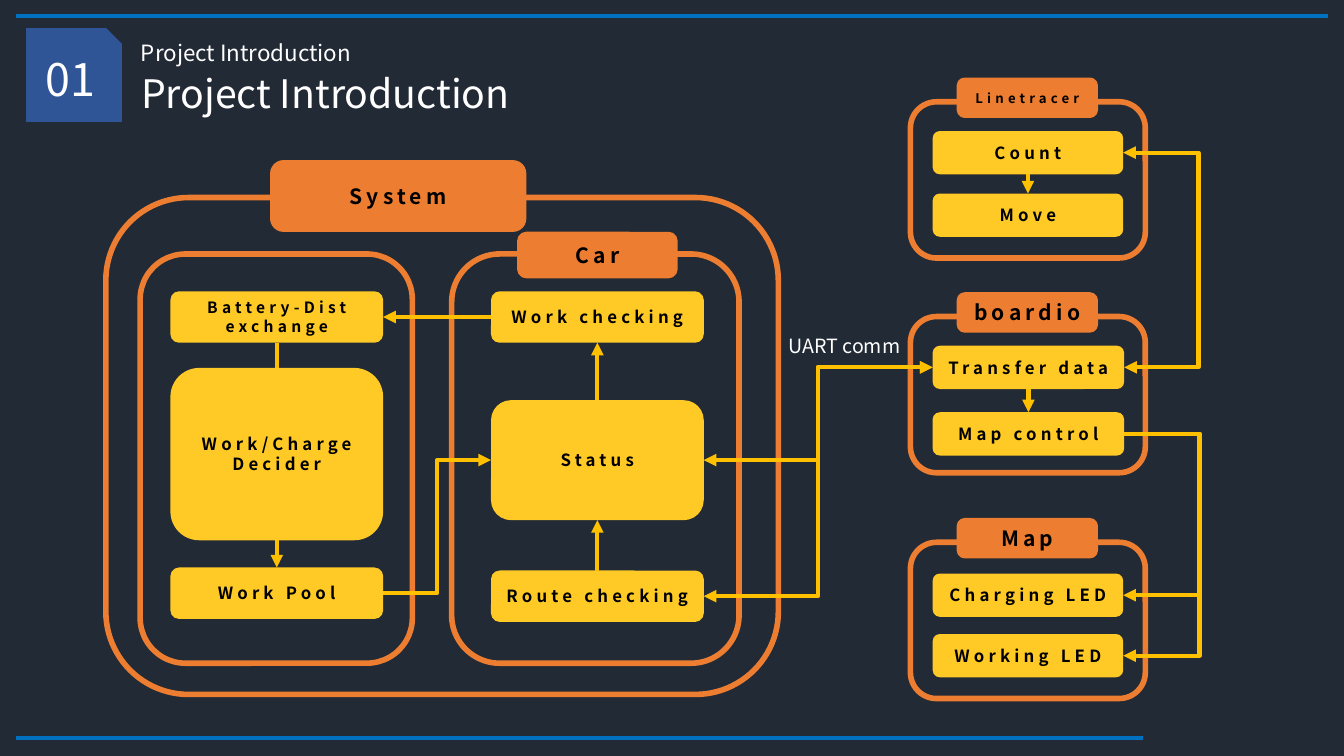
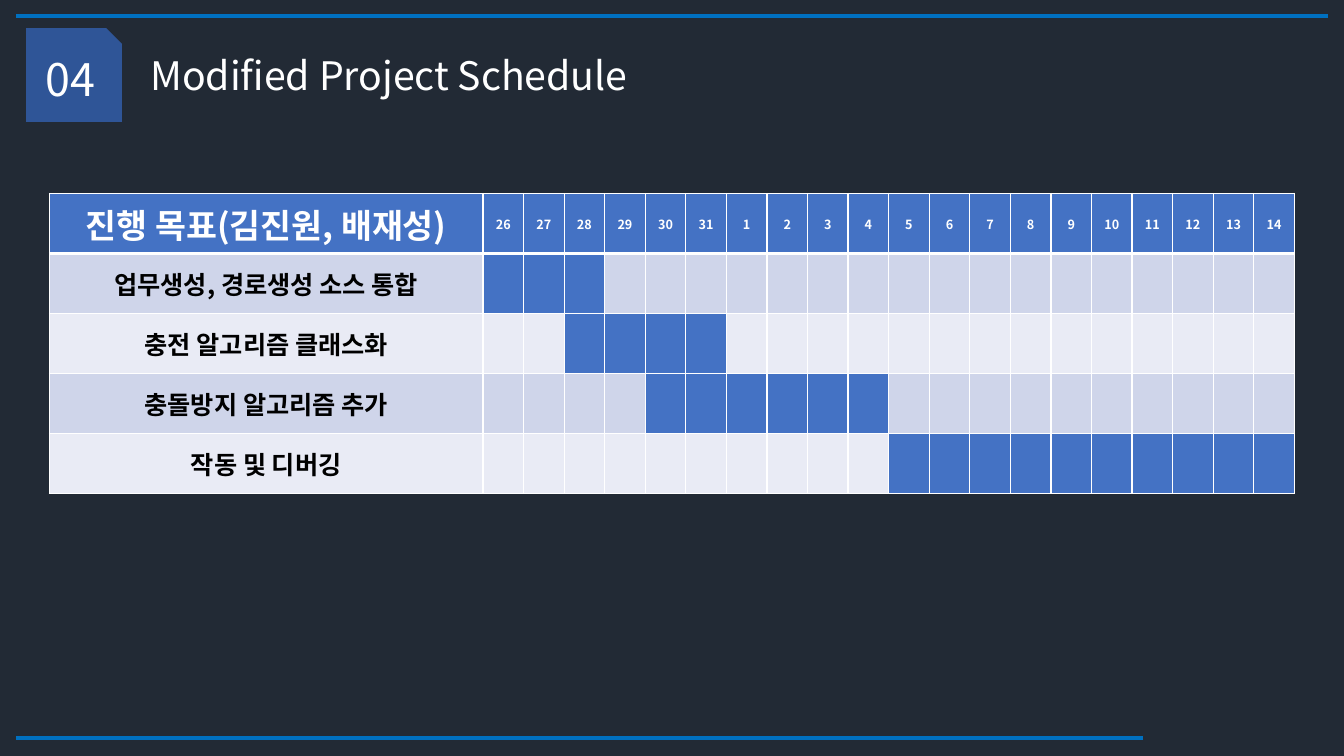
import pptx
import pptx.util
import pptx.dml.color
import pptx.enum.shapes
import pptx.enum.text
import pptx.oxml.ns
import lxml.etree

Inches = pptx.util.Inches
Pt = pptx.util.Pt
RGBColor = pptx.dml.color.RGBColor
SHAPE = pptx.enum.shapes.MSO_SHAPE
CONNECTOR = pptx.enum.shapes.MSO_CONNECTOR
ANCHOR = pptx.enum.text.MSO_ANCHOR
ALIGN = pptx.enum.text.PP_ALIGN
qn = pptx.oxml.ns.qn

FONT = "Noto Sans CJK KR"
NAVY = RGBColor(0x22, 0x2A, 0x35)
BADGE_BLUE = RGBColor(0x2F, 0x55, 0x97)
RULE_BLUE = RGBColor(0x00, 0x70, 0xC0)
ORANGE = RGBColor(0xED, 0x7D, 0x31)
YELLOW = RGBColor(0xFF, 0xC9, 0x26)
ARROW_GOLD = RGBColor(0xFF, 0xC0, 0x00)
BAR_BLUE = RGBColor(0x44, 0x72, 0xC4)
BAND_DARK = RGBColor(0xCF, 0xD5, 0xEA)
BAND_LIGHT = RGBColor(0xE9, 0xEB, 0xF5)
WHITE = RGBColor(0xFF, 0xFF, 0xFF)
BLACK = RGBColor(0x00, 0x00, 0x00)

TOP, LEFT, BOTTOM, RIGHT = range(4)


# Text and shapes
def write(frame, text, size, color=WHITE, bold=False, align=ALIGN.CENTER,
          tracking=0):
    frame.text = text
    frame.word_wrap = True
    frame.vertical_anchor = ANCHOR.MIDDLE
    for paragraph in frame.paragraphs:
        paragraph.alignment = align
        paragraph.line_spacing = 1.0
        font = paragraph.font
        font.name, font.size, font.bold = FONT, Pt(size), bold
        font.color.rgb = color
        props = paragraph._p.pPr.find(qn("a:defRPr"))
        latin = props.find(qn("a:latin"))
        east_asian = lxml.etree.Element(qn("a:ea"), typeface=FONT)
        latin.addnext(east_asian)
        if tracking:
            props.set("spc", str(tracking * 100))


def add_label(slide, box, text, size, align=ALIGN.LEFT):
    label = slide.shapes.add_textbox(*map(Inches, box))
    write(label.text_frame, text, size, align=align)


def add_box(slide, kind, box, fill=None, line=None, width=3):
    shape = slide.shapes.add_shape(kind, *map(Inches, box))
    shape.shadow.inherit = False
    if fill is None:
        shape.fill.background()
    else:
        shape.fill.solid()
        shape.fill.fore_color.rgb = fill
    if line is None:
        shape.line.fill.background()
    else:
        shape.line.color.rgb = line
        shape.line.width = Pt(width)
    return shape


def add_frame(slide, box):
    add_box(slide, SHAPE.ROUNDED_RECTANGLE, box, line=ORANGE, width=4)


def add_header(slide, box, text, size=15):
    header = add_box(slide, SHAPE.ROUNDED_RECTANGLE, box, ORANGE, ORANGE)
    frame = header.text_frame
    frame.margin_left = frame.margin_right = 0
    write(frame, text, size, BLACK, True, tracking=3)


def add_step(slide, box, text, size=12):
    step = add_box(slide, SHAPE.ROUNDED_RECTANGLE, box, YELLOW)
    write(step.text_frame, text, size, BLACK, True, tracking=3)
    return step


# Lines and arrows
def add_line(slide, kind, ends, color):
    line = slide.shapes.add_connector(kind, *ends)
    line.line.color.rgb = color
    line.line.width = Pt(3)
    lxml.etree.SubElement(line._element.spPr, qn("a:effectLst"))
    return line


def site(shape, side):
    x = {LEFT: 0, RIGHT: shape.width}.get(side, shape.width // 2)
    y = {TOP: 0, BOTTOM: shape.height}.get(side, shape.height // 2)
    return shape.left + x, shape.top + y


def add_arrow(slide, start, start_side, end, end_side, both=False,
              elbow=False, turn_x=None):
    """Joins two steps; turn_x is where an elbow runs upright."""
    x1, y1 = site(start, start_side)
    x2, y2 = site(end, end_side)
    kind = CONNECTOR.ELBOW if elbow else CONNECTOR.STRAIGHT
    arrow = add_line(slide, kind, (x1, y1, x2, y2), ARROW_GOLD)
    arrow.begin_connect(start, start_side)
    arrow.end_connect(end, end_side)
    outline = arrow.line._get_or_add_ln()
    for tag in ["a:headEnd", "a:tailEnd"] if both else ["a:tailEnd"]:
        lxml.etree.SubElement(outline, qn(tag), type="triangle")
    if turn_x is not None:
        ratio = (Inches(turn_x) - x1) / (x2 - x1)
        guides = arrow._element.spPr.find(qn("a:prstGeom")).find(qn("a:avLst"))
        lxml.etree.SubElement(guides, qn("a:gd"), name="adj1",
                              fmla=f"val {round(ratio * 100000)}")


# Parts shared by all slides
def add_slide(prs, number, title, title_box):
    slide = prs.slides.add_slide(prs.slide_layouts[5])
    badge = add_box(slide, SHAPE.SNIP_1_RECTANGLE, (0.26, 0.28, 0.95, 0.93),
                    BADGE_BLUE)
    write(badge.text_frame, number, 32)
    for right, y in ((13.17, 0.16), (11.34, 7.32)):
        ends = map(Inches, (0.16, y, right, y))
        add_line(slide, CONNECTOR.STRAIGHT, ends, RULE_BLUE)
    heading = slide.shapes.title
    heading.left, heading.top, heading.width, heading.height = map(
        Inches, title_box)
    write(heading.text_frame, title, 28, align=ALIGN.LEFT)
    heading.text_frame.auto_size = pptx.enum.text.MSO_AUTO_SIZE.NONE
    return slide


# Project diagram
def add_device(slide, left, top, name, steps, name_size=15, step_width=1.89):
    """Frame with a header and steps, each given as (text, offset)."""
    add_frame(slide, (left, top, 2.33, 1.55))
    placed = [add_step(slide, (left + 0.22, top + offset, step_width, 0.43),
                       text) for text, offset in steps]
    add_header(slide, (left + 0.48, top - 0.22, 1.36, 0.36), name, name_size)
    return placed


def add_work_column(slide, left, top):
    add_frame(slide, (left, top, 2.7, 4.06))
    x = left + 0.3
    battery = add_step(slide, (x, top + 0.37, 2.11, 0.51),
                       "Battery-Dist\nexchange", 11.1)
    pool = add_step(slide, (x, top + 3.11, 2.11, 0.51), "Work Pool")
    # The decider covers the middle of this arrow
    add_arrow(slide, battery, BOTTOM, pool, TOP)
    add_step(slide, (x, top + 1.13, 2.11, 1.71), "Work/Charge\nDecider")
    return battery, pool


def add_car_column(slide, left, top):
    add_frame(slide, (left, top, 2.85, 4.06))
    add_header(slide, (left + 0.67, top - 0.2, 1.55, 0.42), "Car")
    checking, status, route = [
        add_step(slide, (left + 0.39, top + offset, 2.11, height), text)
        for text, offset, height in (("Work checking", 0.37, 0.51),
                                     ("Status", 1.45, 1.19),
                                     ("Route checking", 3.14, 0.51))]
    add_arrow(slide, route, TOP, status, BOTTOM)
    add_arrow(slide, status, TOP, checking, BOTTOM)
    return checking, status, route


def add_system(slide, left, top):
    add_frame(slide, (left, top, 6.67, 4.93))
    add_header(slide, (left + 1.65, top - 0.35, 2.5, 0.67), "System")
    battery, pool = add_work_column(slide, left + 0.34, top + 0.56)
    checking, status, route = add_car_column(slide, left + 3.43, top + 0.56)
    add_arrow(slide, checking, LEFT, battery, RIGHT)
    add_arrow(slide, pool, RIGHT, status, LEFT, elbow=True)
    return status, route


def build_introduction(prs):
    slide = add_slide(prs, "01", "Project Introduction", (1.3, 0.64, 8.9, 0.57))
    add_label(slide, (1.3, 0.34, 8.9, 0.37), "Project Introduction", 16)
    add_label(slide, (7.4, 3.26, 1.95, 0.34), "UART comm", 14, ALIGN.CENTER)
    charging, working = add_device(
        slide, 9.03, 5.38, "Map",
        [("Charging LED", 0.31), ("Working LED", 0.91)])
    transfer, control = add_device(
        slide, 9.03, 3.14, "boardio",
        [("Transfer data", 0.29), ("Map control", 0.95)], step_width=1.9)
    count, move = add_device(
        slide, 9.03, 1.01, "Linetracer",
        [("Count", 0.29), ("Move", 0.91)], name_size=9.4)
    add_arrow(slide, transfer, BOTTOM, control, TOP)
    add_arrow(slide, count, BOTTOM, move, TOP)
    add_arrow(slide, transfer, RIGHT, count, RIGHT, True, True, 11.9)
    for led in (charging, working):
        add_arrow(slide, control, RIGHT, led, RIGHT, False, True, 11.91)
    for source in add_system(slide, 1.05, 1.96):
        add_arrow(slide, source, RIGHT, transfer, LEFT, True, True)


# Schedule
DAYS = [*range(26, 32), *range(1, 15)]
TASKS = [  # task, first and last column of its bar
    ("업무생성, 경로생성 소스 통합", 1, 3),
    ("충전 알고리즘 클래스화", 3, 6),
    ("충돌방지 알고리즘 추가", 5, 10),
    ("작동 및 디버깅", 11, 20),
]


def style_cell(cell, fill, top=1, bottom=1):
    cell.fill.solid()
    cell.fill.fore_color.rgb = fill
    props = cell._tc.get_or_add_tcPr()
    sides = (("a:lnL", 1), ("a:lnR", 1), ("a:lnT", top), ("a:lnB", bottom))
    for index, (tag, width) in enumerate(sides):
        border = lxml.etree.Element(qn(tag), w=str(Pt(width)))
        solid = lxml.etree.SubElement(border, qn("a:solidFill"))
        lxml.etree.SubElement(solid, qn("a:srgbClr"), val=str(WHITE))
        props.insert(index, border)


def write_cell(cell, text, size, color):
    write(cell.text_frame, text, size, color, True)
    cell.vertical_anchor = ANCHOR.MIDDLE


def add_schedule(slide, left, top, width, height):
    table = slide.shapes.add_table(
        len(TASKS) + 1, len(DAYS) + 1,
        *map(Inches, (left, top, width, height))).table
    table.first_row = table.horz_banding = False
    task_width = 4.3
    for index, column in enumerate(table.columns):
        column.width = Inches(
            (width - task_width) / len(DAYS) if index else task_width)

    for index, text in enumerate(["진행 목표(김진원, 배재성)", *map(str, DAYS)]):
        cell = table.cell(0, index)
        style_cell(cell, BAR_BLUE, bottom=3)
        write_cell(cell, text, 9 if index else 24, WHITE)
    for row, (task, first, last) in enumerate(TASKS, 1):
        band = BAND_DARK if row % 2 else BAND_LIGHT
        for index in range(len(DAYS) + 1):
            fill = BAR_BLUE if first <= index <= last else band
            style_cell(table.cell(row, index), fill, top=3 if row == 1 else 1)
        write_cell(table.cell(row, 0), task, 18, BLACK)


def build_schedule(prs):
    slide = add_slide(prs, "04", "Modified Project Schedule",
                      (1.39, 0.46, 5.05, 0.57))
    add_schedule(slide, 0.49, 1.92, 12.35, 2.98)


def main():
    prs = pptx.Presentation()
    prs.slide_width, prs.slide_height = Inches(13.33), Inches(7.5)
    background = prs.slide_master.background.fill
    background.solid()
    background.fore_color.rgb = NAVY
    build_introduction(prs)
    build_schedule(prs)
    prs.save("out.pptx")


if __name__ == "__main__":
    main()
